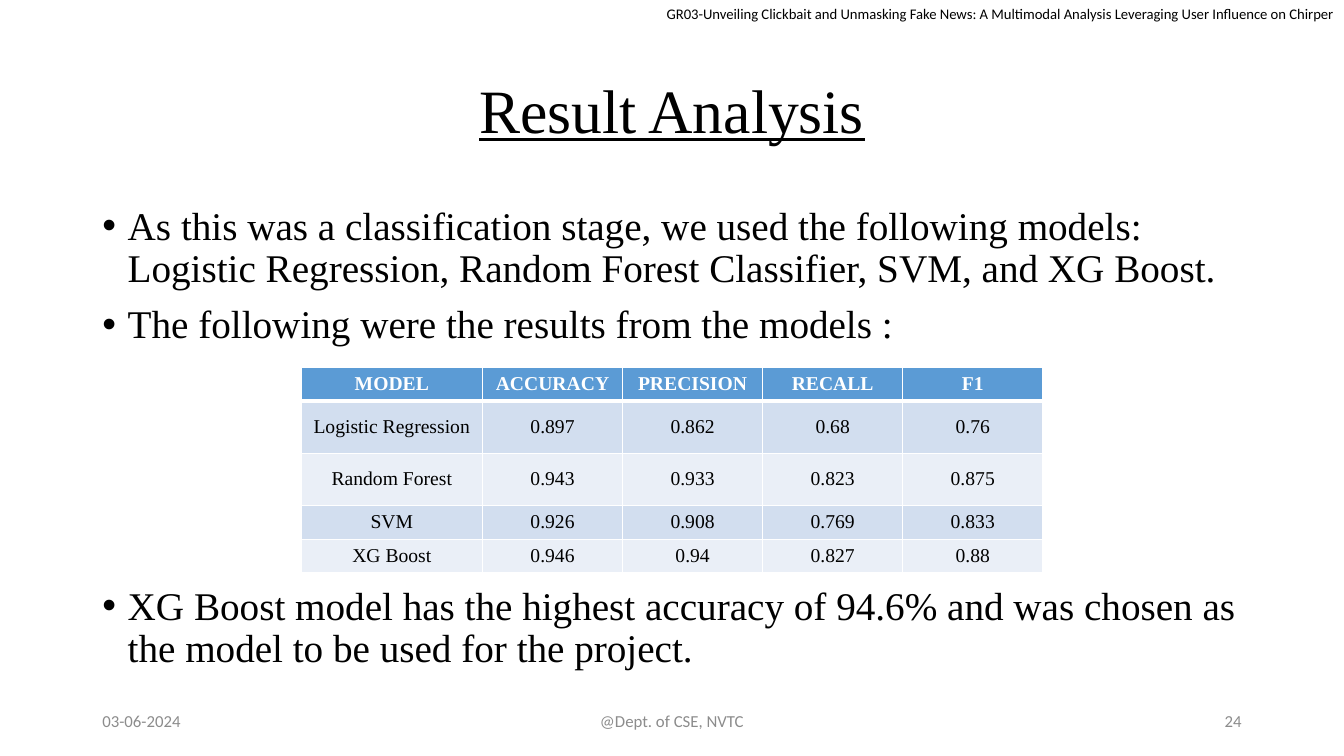
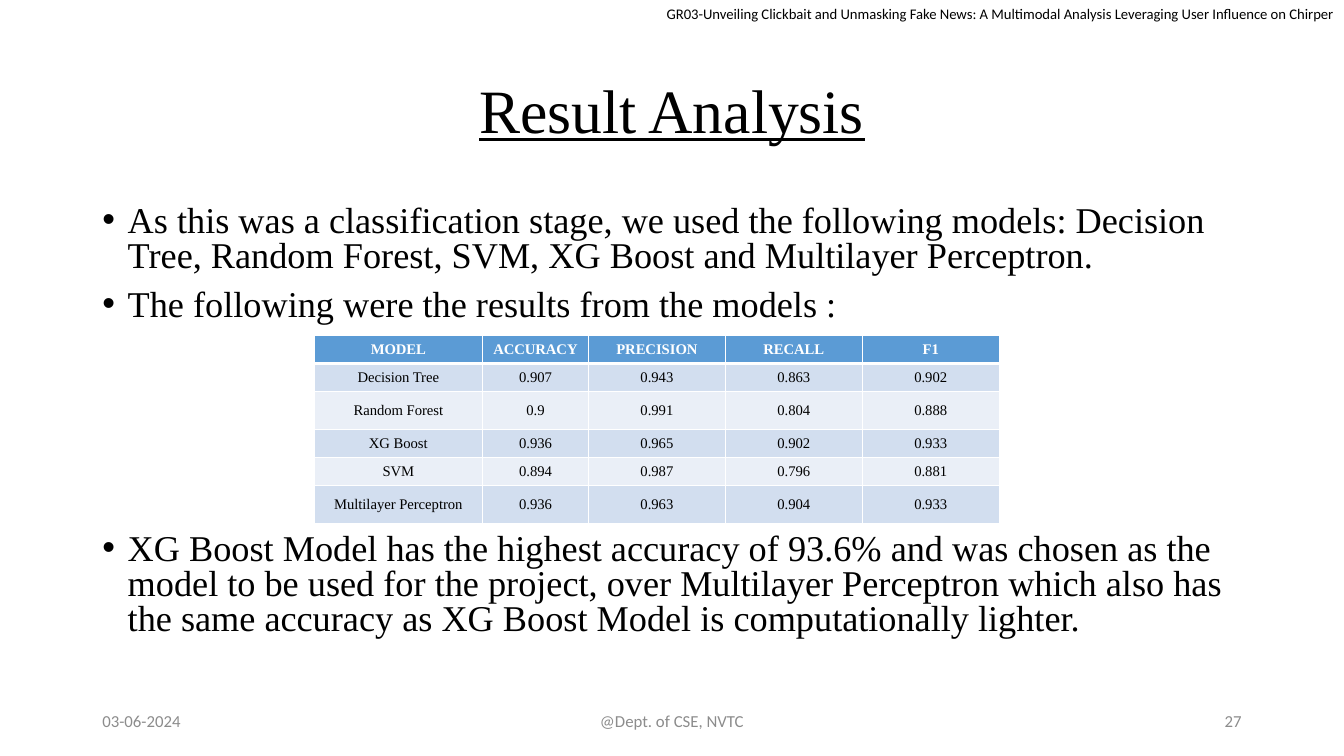
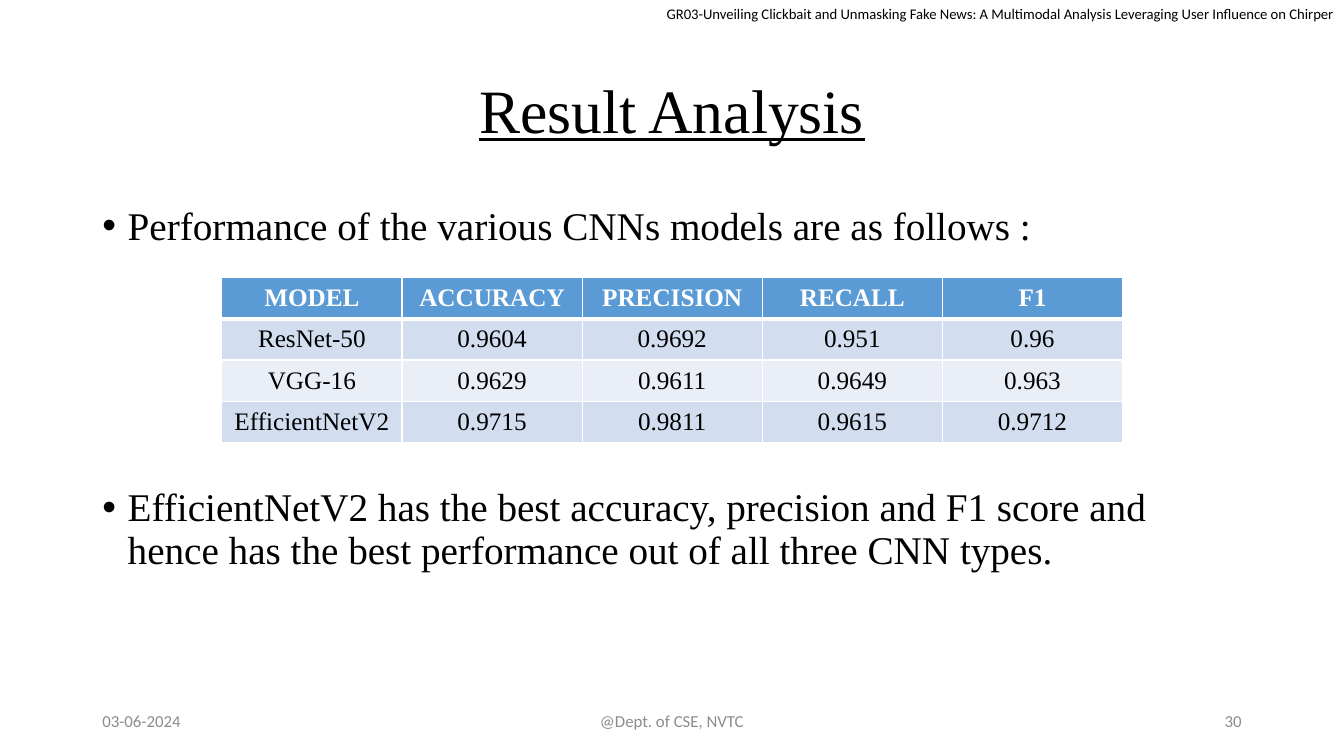
from pptx import Presentation
from pptx.dml.color import RGBColor
from pptx.enum.text import MSO_ANCHOR as Anchor, PP_ALIGN as Align
from pptx.oxml import parse_xml
from pptx.oxml.ns import nsdecls
from pptx.util import Cm, Pt

COLORS = {
    "text": "000000", "footer": "8C8C8C", "white": "FFFFFF",
    "header": "5B9BD5", "odd": "D2DEEF", "even": "EAEFF7",
}
SERIF, SANS = "Times New Roman", "Calibri"

# Shared regions: left, top, width, height in cm
TITLE_BOX = (2.33, 1.01, 29.21, 3.68)
BODY_BOX = (2.33, 5.07, 29.21, 12.09)
BANNER_BOX = (16.23, 0, 17.64, 0.71)
FOOTER_BOX = (2.33, 17.65, 29.21, 1.01)

BANNER = ("GR03-Unveiling Clickbait and Unmasking Fake News: A Multimodal "
          "Analysis Leveraging User Influence on Chirper")
DATE, DEPARTMENT = "03-06-2024", "@Dept. of CSE, NVTC"
METRICS = ("MODEL", "ACCURACY", "PRECISION", "RECALL", "F1")

PARAGRAPH_GAP = 10  # points before each bullet
TABLE_LINES = 4     # body lines left free for the table
LINE_RATIO = 1.2    # line height relative to the font size

RESULTS = [
    {
        "number": "24", "size": 28, "spacing": 0.9,
        "intro": [
            "As this was a classification stage, we used the following models: "
            "Logistic Regression, Random Forest Classifier, SVM, and XG Boost.",
            "The following were the results from the models :",
        ],
        "conclusion": "XG Boost model has the highest accuracy of 94.6% and was "
                      "chosen as the model to be used for the project.",
        "table_at": (7.59, 9.25), "table_size": 14,
        "columns": [4.57] + [3.53] * 4,
        "heights": [0.79, 1.32, 1.32, 0.79, 0.79],
        "scores": [
            ("Logistic Regression", "0.897", "0.862", "0.68", "0.76"),
            ("Random Forest", "0.943", "0.933", "0.823", "0.875"),
            ("SVM", "0.926", "0.908", "0.769", "0.833"),
            ("XG Boost", "0.946", "0.94", "0.827", "0.88"),
        ],
    },
    {
        "number": "27", "size": 25.9, "spacing": 0.8,
        "intro": [
            "As this was a classification stage, we used the following models: "
            "Decision Tree, Random Forest, SVM, XG Boost and Multilayer Perceptron.",
            "The following were the results from the models :",
        ],
        "conclusion": "XG Boost Model has the highest accuracy of 93.6% and was "
                      "chosen as the model to be used for the project, over "
                      "Multilayer Perceptron which also has the same accuracy as "
                      "XG Boost Model is computationally lighter.",
        "table_at": (7.92, 8.46), "table_size": 10.5,
        "columns": [4.24, 2.67] + [3.45] * 3,
        "heights": [0.66, 0.66, 0.97, 0.66, 0.66, 0.97],
        "scores": [
            ("Decision Tree", "0.907", "0.943", "0.863", "0.902"),
            ("Random Forest", "0.9", "0.991", "0.804", "0.888"),
            ("XG Boost", "0.936", "0.965", "0.902", "0.933"),
            ("SVM", "0.894", "0.987", "0.796", "0.881"),
            ("Multilayer Perceptron", "0.936", "0.963", "0.904", "0.933"),
        ],
    },
    {
        "number": "30", "size": 28, "spacing": 0.9,
        "intro": ["Performance of the various CNNs models are as follows :"],
        "conclusion": "EfficientNetV2 has the best accuracy, precision and F1 score "
                      "and hence has the best performance out of all three CNN types.",
        "table_at": (5.59, 6.99), "table_size": 18,
        "columns": [4.54] * 5,
        "heights": [1.04] * 4,
        "scores": [
            ("ResNet-50", "0.9604", "0.9692", "0.951", "0.96"),
            ("VGG-16", "0.9629", "0.9611", "0.9649", "0.963"),
            ("EfficientNetV2", "0.9715", "0.9811", "0.9615", "0.9712"),
        ],
    },
]


def style(paragraph, size, font, color="text", align=Align.LEFT, bold=False, underline=False):
    paragraph.alignment = align
    for run in paragraph.runs:
        run.font.size = Pt(size)
        run.font.name = font
        run.font.bold = bold
        run.font.underline = underline
        run.font.color.rgb = RGBColor.from_string(COLORS[color])


def add_frame(slide, box, anchor=Anchor.TOP):
    frame = slide.shapes.add_textbox(*map(Cm, box)).text_frame
    frame.word_wrap = True
    frame.vertical_anchor = anchor
    return frame


def add_title(slide, box):
    frame = add_frame(slide, box, Anchor.MIDDLE)
    frame.text = "Result Analysis"
    heading = frame.paragraphs[0]
    heading.line_spacing = 0.9
    style(heading, 44, SERIF, align=Align.CENTER, underline=True)


def add_banner(slide, box):
    frame = add_frame(slide, box)
    frame.text = BANNER
    style(frame.paragraphs[0], 10.5, SANS, align=Align.RIGHT)


def add_footer(slide, box, number):
    left, top, width, height = box
    side, middle = 7.62, 11.43
    parts = [
        (DATE, left, side, Align.LEFT),
        (DEPARTMENT, left + (width - middle) / 2, middle, Align.CENTER),
        (number, left + width - side, side, Align.RIGHT),
    ]
    for text, x, part_width, align in parts:
        frame = add_frame(slide, (x, top, part_width, height), Anchor.MIDDLE)
        frame.text = text
        style(frame.paragraphs[0], 12, SANS, "footer", align)


def add_bullet(paragraph):
    properties = paragraph._p.get_or_add_pPr()
    properties.set("marL", str(Cm(0.64)))
    properties.set("indent", str(-Cm(0.64)))
    properties.append(parse_xml(f'<a:buFont {nsdecls("a")} typeface="Arial"/>'))
    properties.append(parse_xml(f'<a:buChar {nsdecls("a")} char="•"/>'))


def add_body(slide, box, result):
    size, spacing = result["size"], result["spacing"]
    frame = add_frame(slide, box)
    frame.text = "\n".join(result["intro"] + [result["conclusion"]])
    for bullet in frame.paragraphs:
        bullet.line_spacing = spacing
        bullet.space_before = Pt(PARAGRAPH_GAP)
        add_bullet(bullet)
        style(bullet, size, SERIF)
    # The conclusion stands below the table
    line = size * LINE_RATIO * spacing + PARAGRAPH_GAP
    frame.paragraphs[-1].space_before = Pt(round(TABLE_LINES * line + PARAGRAPH_GAP, 1))


def add_borders(cell, top, bottom):
    properties = cell._tc.get_or_add_tcPr()
    for side, width in (("L", 1), ("R", 1), ("T", top), ("B", bottom)):
        properties.append(parse_xml(
            f'<a:ln{side} {nsdecls("a")} w="{Pt(width)}"><a:solidFill>'
            f'<a:srgbClr val="{COLORS["white"]}"/></a:solidFill></a:ln{side}>'))


def add_scores(slide, result):
    rows = [METRICS] + result["scores"]
    columns, heights = result["columns"], result["heights"]
    box = (*result["table_at"], sum(columns), sum(heights))
    table = slide.shapes.add_table(len(rows), len(columns), *map(Cm, box)).table
    for column, width in zip(table.columns, columns):
        column.width = Cm(width)
    for r, (values, height) in enumerate(zip(rows, heights)):
        table.rows[r].height = Cm(height)
        is_header = r == 0
        fill = "header" if is_header else "odd" if r % 2 else "even"
        for c, value in enumerate(values):
            cell = table.cell(r, c)
            cell.text = value
            cell.vertical_anchor = Anchor.MIDDLE
            add_borders(cell, 3 if r == 1 else 1, 3 if is_header else 1)
            cell.fill.solid()
            cell.fill.fore_color.rgb = RGBColor.from_string(COLORS[fill])
            style(cell.text_frame.paragraphs[0], result["table_size"], SERIF,
                  "white" if is_header else "text", Align.CENTER, bold=is_header)


def add_result_slide(deck, result):
    slide = deck.slides.add_slide(deck.slide_layouts[6])
    add_title(slide, TITLE_BOX)
    add_body(slide, BODY_BOX, result)
    add_footer(slide, FOOTER_BOX, result["number"])
    add_scores(slide, result)
    add_banner(slide, BANNER_BOX)


def main():
    deck = Presentation()
    deck.slide_width, deck.slide_height = Cm(33.87), Cm(19.05)
    for result in RESULTS:
        add_result_slide(deck, result)
    deck.save("out.pptx")


if __name__ == "__main__":
    main()
